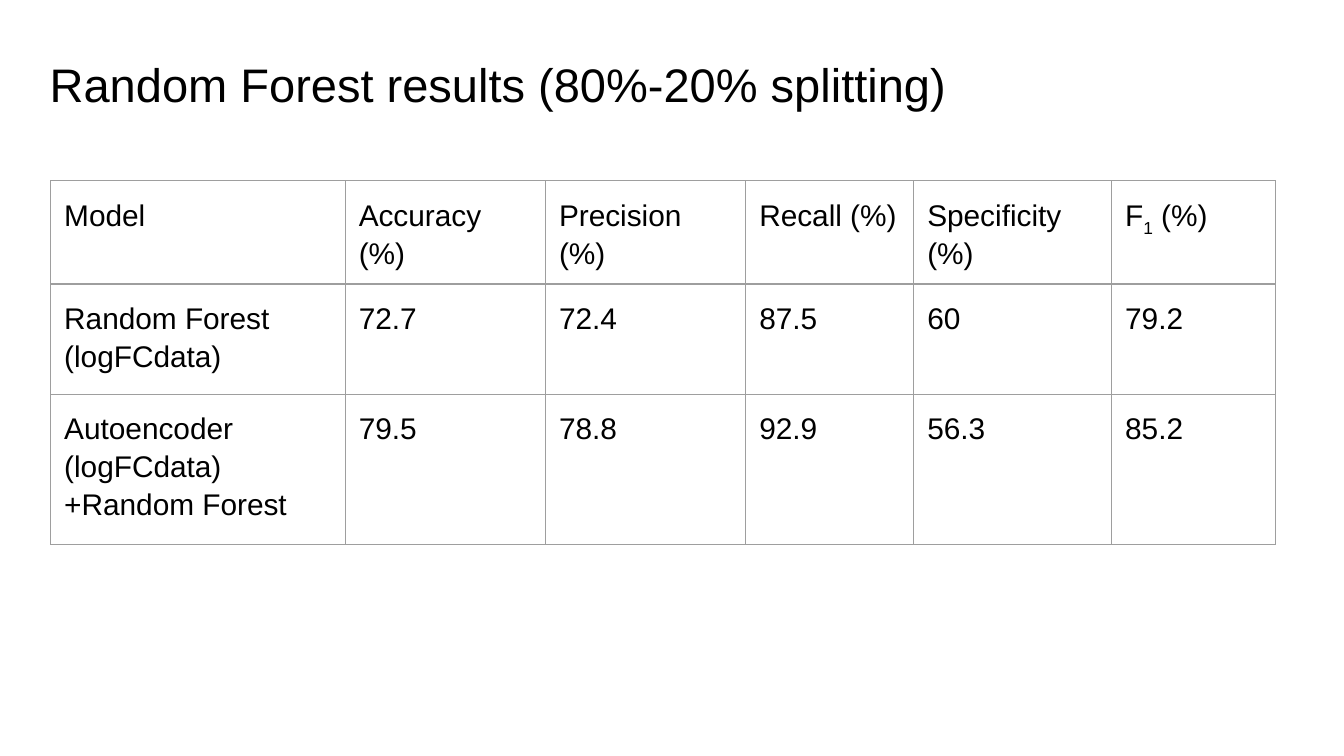
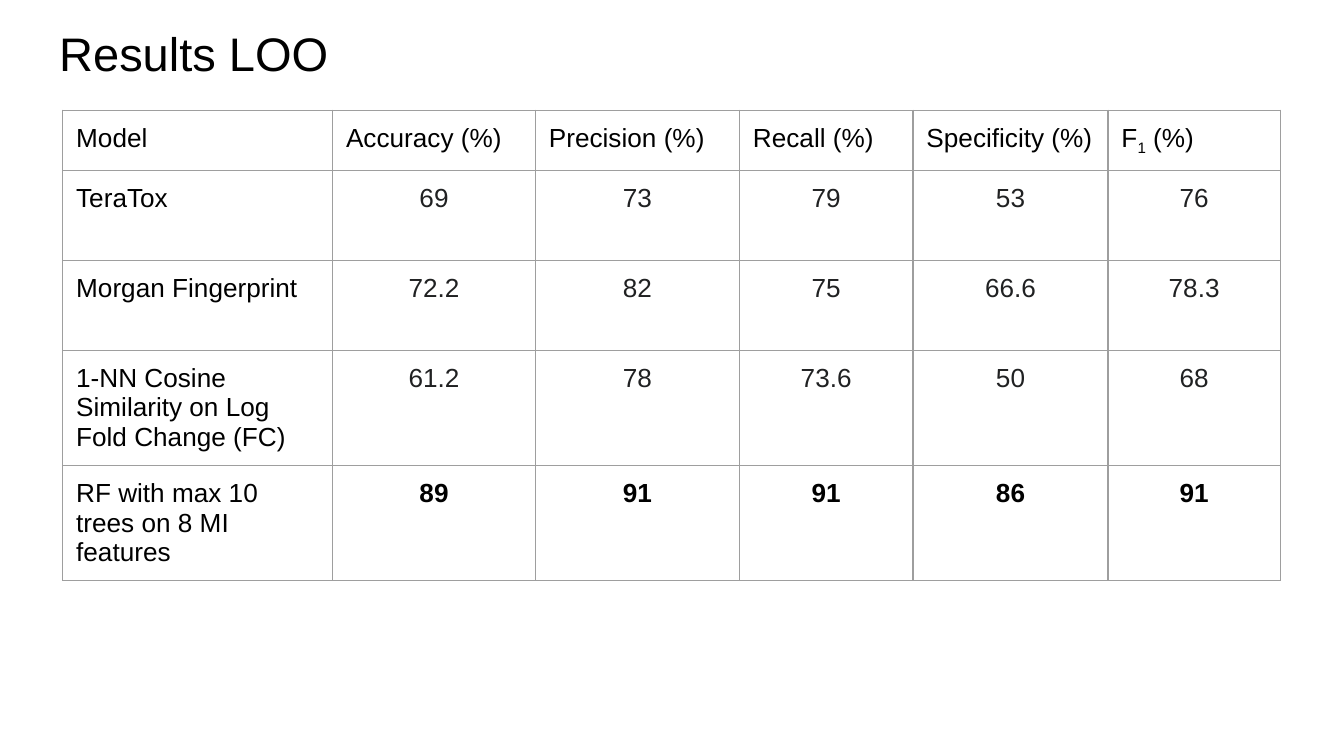
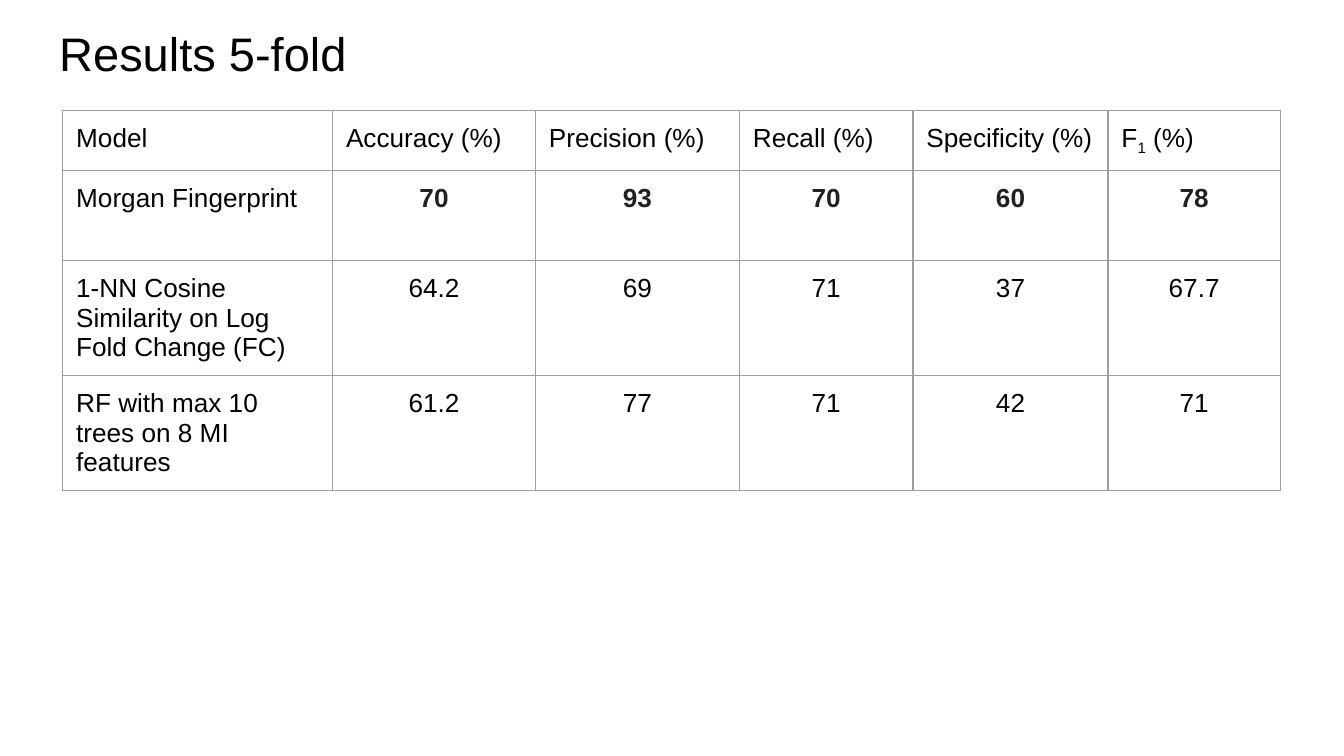
from dataclasses import dataclass

from lxml import etree
from pptx import Presentation
from pptx import util as u
from pptx.dml.color import RGBColor
from pptx.enum import text
from pptx.oxml import ns

COLORS = {"ink": "000000", "soft": "202122", "rule": "9E9E9E"}
FONT = "Arial"
INSET = 7.2
RULE_WIDTH = 0.75
TITLE_ONLY = 5
TITLE_SIZE = (671, 45.4)
# A tuple holds normal and subscript text in turn.
HEADER = ["Model", "Accuracy (%)", "Precision (%)", "Recall (%)",
          "Specificity (%)", ("F", "1", " (%)")]
MORGAN = "Morgan Fingerprint"
COSINE = "1-NN Cosine Similarity on Log Fold Change (FC)"
FOREST = "RF with max 10 trees on 8 MI features"


@dataclass
class Result:
    model: str
    scores: list
    color: str = "ink"
    bold: bool = False


@dataclass
class Layout:
    title_at: tuple
    table_at: tuple
    columns: list
    header_height: float
    row_heights: list
    size: float
    spacing: float
    score_align: text.PP_ALIGN


SPLIT = Layout((19.4, 21.6), (27.2, 96.9), [157.8, 107.3, 107.3, 90, 106, 87.6],
               49.7, [59, 80.6], 16, 1.15, text.PP_ALIGN.LEFT)
VALIDATION = Layout((24.5, 5), (33.6, 59), [144.6, 108.7, 109.3, 93, 104.5, 92.3],
                    30.2, [48.2] * 4, 14, 1, text.PP_ALIGN.CENTER)


def assign(target, values):
    for name, value in values.items():
        setattr(target, name, value)


def style_font(font, size, color="ink", bold=False):
    assign(font, {"name": FONT, "size": u.Pt(size), "bold": bold})
    font.color.rgb = RGBColor.from_string(COLORS[color])


def set_inset(target):
    assign(target, {f"margin_{side}": u.Pt(INSET)
                    for side in ("left", "top", "right", "bottom")})


def add_title(page, box, wording):
    title = page.shapes.title
    assign(title, dict(zip(("left", "top", "width", "height"), map(u.Pt, box))))
    frame = title.text_frame
    set_inset(frame)
    assign(frame, {"word_wrap": True, "auto_size": text.MSO_AUTO_SIZE.NONE,
                   "vertical_anchor": text.MSO_ANCHOR.BOTTOM})
    frame.text = wording
    para = frame.paragraphs[0]
    para.alignment = text.PP_ALIGN.LEFT
    style_font(para.runs[0].font, 25.2)


def rule_cell(cell):
    """Draw a thin line on all four sides of a cell."""
    properties = cell._tc.get_or_add_tcPr()
    for side in ("lnL", "lnR", "lnT", "lnB"):
        line = etree.SubElement(properties, ns.qn(f"a:{side}"),
                                w=str(u.Pt(RULE_WIDTH)))
        fill = etree.SubElement(line, ns.qn("a:solidFill"))
        etree.SubElement(fill, ns.qn("a:srgbClr"), val=COLORS["rule"])


def fill_cell(cell, wording, layout, align=text.PP_ALIGN.LEFT, **look):
    set_inset(cell)
    rule_cell(cell)
    cell.fill.background()
    para = cell.text_frame.paragraphs[0]
    assign(para, {"alignment": align, "line_spacing": float(layout.spacing)})
    parts = (wording,) if isinstance(wording, str) else wording
    for index, part in enumerate(parts):
        span = para.add_run()
        span.text = part
        style_font(span.font, layout.size, **look)
        if index % 2:
            span._r.get_or_add_rPr().set("baseline", "-25000")


def add_results_table(page, layout, results):
    heights = [layout.header_height] + layout.row_heights[:len(results)]
    box = (*layout.table_at, sum(layout.columns), sum(heights))
    table = page.shapes.add_table(len(heights), len(HEADER),
                                  *map(u.Pt, box)).table
    assign(table, {"first_row": False, "horz_banding": False})
    for column, width in zip(table.columns, layout.columns):
        column.width = u.Pt(width)
    for row, height in zip(table.rows, heights):
        row.height = u.Pt(height)
    for index, label in enumerate(HEADER):
        fill_cell(table.cell(0, index), label, layout)
    for row, result in enumerate(results, 1):
        fill_cell(table.cell(row, 0), result.model, layout)
        for column, score in enumerate(result.scores, 1):
            fill_cell(table.cell(row, column), str(score), layout,
                      layout.score_align, color=result.color, bold=result.bold)


def add_results_page(deck, wording, layout, results):
    page = deck.slides.add_slide(deck.slide_layouts[TITLE_ONLY])
    add_title(page, (*layout.title_at, *TITLE_SIZE), wording)
    add_results_table(page, layout, results)


def main():
    deck = Presentation()
    assign(deck, {"slide_width": u.Pt(720), "slide_height": u.Pt(405)})
    add_results_page(deck, "Random Forest results (80%-20% splitting)", SPLIT, [
        Result("Random Forest (logFCdata)", [72.7, 72.4, 87.5, 60, 79.2]),
        Result("Autoencoder (logFCdata) +Random Forest",
               [79.5, 78.8, 92.9, 56.3, 85.2]),
    ])
    add_results_page(deck, "Results LOO", VALIDATION, [
        Result("TeraTox", [69, 73, 79, 53, 76], "soft"),
        Result(MORGAN, [72.2, 82, 75, 66.6, 78.3], "soft"),
        Result(COSINE, [61.2, 78, 73.6, 50, 68], "soft"),
        Result(FOREST, [89, 91, 91, 86, 91], bold=True),
    ])
    add_results_page(deck, "Results 5-fold", VALIDATION, [
        Result(MORGAN, [70, 93, 70, 60, 78], "soft", bold=True),
        Result(COSINE, [64.2, 69, 71, 37, 67.7]),
        Result(FOREST, [61.2, 77, 71, 42, 71]),
    ])
    deck.save("out.pptx")


if __name__ == "__main__":
    main()
